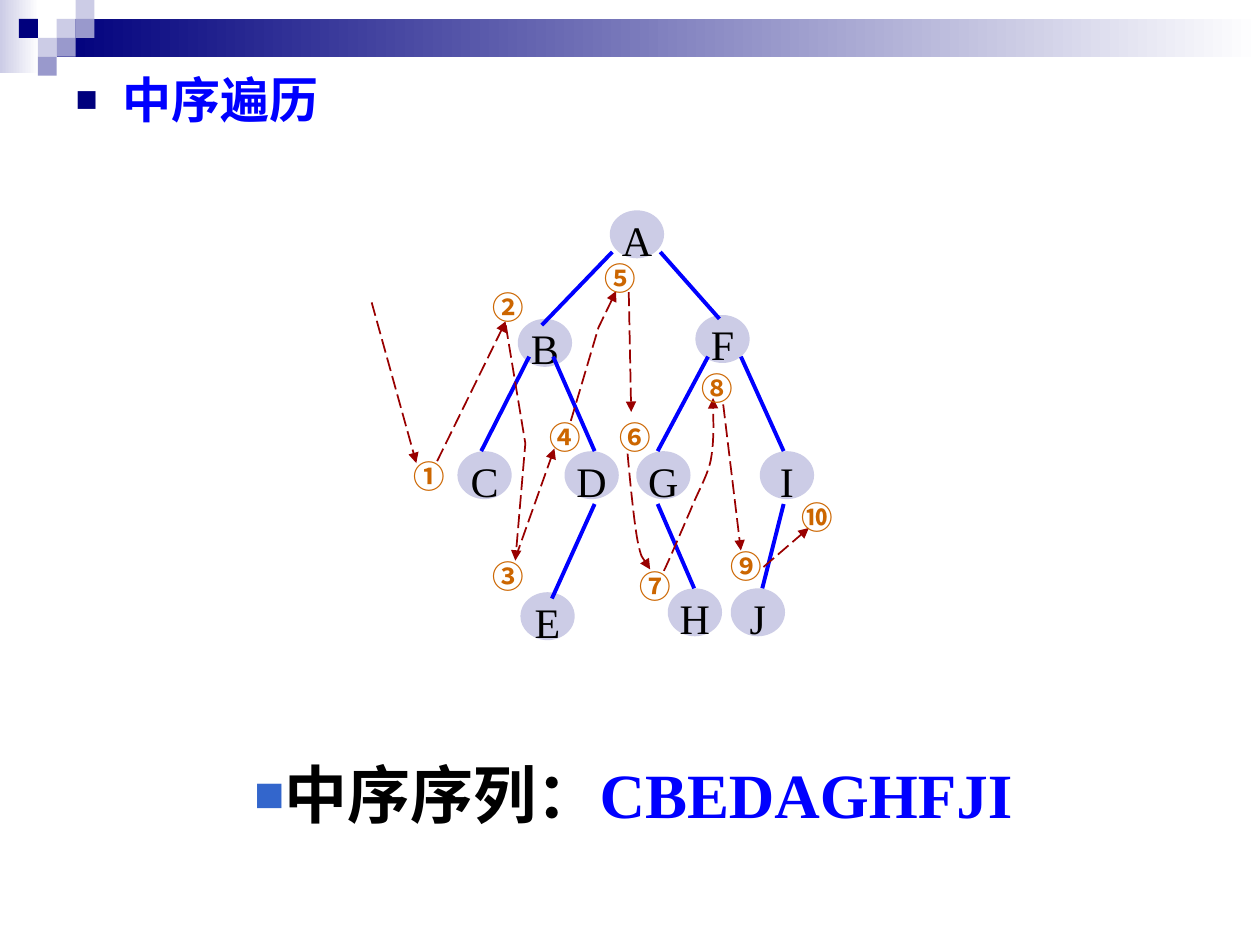
from lxml.etree import SubElement
from pptx import Presentation
from pptx.dml.color import RGBColor
from pptx.enum.dml import MSO_LINE
from pptx.enum.shapes import MSO_CONNECTOR, MSO_SHAPE
from pptx.enum.text import MSO_ANCHOR, MSO_AUTO_SIZE, PP_ALIGN
from pptx.oxml.ns import qn
from pptx.util import Pt

NAVY = RGBColor(0x00, 0x00, 0x7D)
LAVENDER = RGBColor(0xCC, 0xCC, 0xE6)
VIOLET = RGBColor(0x99, 0x99, 0xCC)
BLUE = RGBColor(0x00, 0x00, 0xFF)
BULLET_BLUE = RGBColor(0x33, 0x66, 0xCC)
DARK_RED = RGBColor(0x99, 0x00, 0x00)
ORANGE = RGBColor(0xCC, 0x66, 0x00)
BLACK = RGBColor(0, 0, 0)
WHITE = RGBColor(0xFF, 0xFF, 0xFF)
CJK, SERIF, SANS = "Noto Sans CJK SC", "Times New Roman", "Arial"

# Header squares on a grid of 10.8 pt: column, row, colour
CELL = 10.8
SQUARES = [(3, 1, LAVENDER), (4, 0, LAVENDER), (4, 1, VIOLET), (2, 2, LAVENDER),
           (1, 1, NAVY), (3, 2, VIOLET), (2, 3, VIOLET)]

# Tree nodes: left, top
NODE_W, NODE_H = 31, 27.4
NODES = {"A": (348.5, 120.2), "B": (295.9, 182.2), "C": (261.4, 257.8),
         "D": (322.6, 257.8), "E": (297.4, 338.4), "F": (397.4, 180),
         "G": (363.6, 257.8), "H": (381.6, 336.2), "I": (434.2, 257.8),
         "J": (417.6, 336.2)}
EDGES = [(349.9, 144, 309.6, 185.8), (377.3, 144, 411.1, 182.2),
         (302.4, 203.8, 275, 257.8), (316.1, 203.8, 339.8, 257.8),
         (404.6, 203.8, 375.8, 257.8), (423.4, 203.8, 447.8, 257.8),
         (339.8, 288, 315.4, 342), (375.8, 288, 396.7, 336.2),
         (447.8, 288, 435.6, 336.2)]

# Visiting order: left, top of each number
STEPS = {"①": (229, 257.8), "②": (274.3, 161.3), "③": (274.3, 314.6),
         "④": (306.7, 235.4), "⑤": (338.4, 144.7), "⑥": (347, 235.4),
         "⑦": (358.6, 320.4), "⑧": (393.8, 207.4), "⑨": (410.4, 308.9),
         "⑩": (450.7, 280.8)}
STRAIGHT_PATHS = [
    [(212.4, 172.8), (237.9, 264.6)],
    [(249.8, 263.5), (289, 183.6)],
    [(289, 185.8), (300.2, 253.4), (294.5, 320.4)],
    [(294.5, 319), (316.8, 256.3)],
    [(326.2, 240.5), (342, 187.2), (352.1, 166.3)],
    [(359.3, 167), (360.7, 235.4)],
    [(413.3, 231.1), (423.4, 314.6)],
    [(436.3, 324), (462.2, 301.7)],
]
# Start point, then two control points and an end point per curve
CURVED_PATHS = [
    [(358.6, 259.2), (359.3, 267.1), (362.2, 298.1), (364.3, 308.9),
     (366.5, 319.7), (370.1, 322.6), (371.5, 325.4)],
    [(379.4, 326.2), (382.3, 320.4), (390.2, 301.7), (394.6, 291.6),
     (398.9, 280.8), (403.9, 272.9), (406.1, 263.5),
     (408.2, 252.7), (407.5, 233.3), (407.5, 227.5)],
]


def add_run(p, text, size, color, font, bold=True):
    r = p.add_run()
    r.text = text
    r.font.size, r.font.bold, r.font.name = Pt(size), bold, font
    r.font.color.rgb = color
    SubElement(r.font._element, qn("a:ea")).set("typeface", CJK)


def add_bullet(p, color, percent, indent=0):
    pPr = p._p.get_or_add_pPr()
    pPr.set("marL", str(Pt(indent)))
    pPr.set("indent", str(-Pt(indent)))
    clr = SubElement(SubElement(pPr, qn("a:buClr")), qn("a:srgbClr"))
    clr.set("val", str(color))
    SubElement(pPr, qn("a:buSzPct")).set("val", str(percent * 1000))
    SubElement(pPr, qn("a:buFont")).set("typeface", SANS)
    SubElement(pPr, qn("a:buChar")).set("char", "■")


def add_block(shapes, kind, x, y, w, h, color, fade=False):
    sp = shapes.add_shape(kind, Pt(x), Pt(y), Pt(w), Pt(h))
    sp.shadow.inherit = False
    sp.line.fill.background()
    if fade:
        sp.fill.gradient()
        sp.fill.gradient_angle = 0
        for stop, c in zip(sp.fill.gradient_stops, (color, WHITE)):
            stop.color.rgb = c
    else:
        sp.fill.solid()
        sp.fill.fore_color.rgb = color
    return sp


def add_node(shapes, label, x, y):
    sp = add_block(shapes, MSO_SHAPE.OVAL, x, y, NODE_W, NODE_H, LAVENDER)
    tf = sp.text_frame
    tf.word_wrap = False
    tf.vertical_anchor = MSO_ANCHOR.MIDDLE
    p = tf.paragraphs[0]
    p.alignment, p.line_spacing = PP_ALIGN.CENTER, 1.2
    add_run(p, label, 24, BLACK, SERIF, bold=False)


def add_edge(shapes, x1, y1, x2, y2):
    ln = shapes.add_connector(MSO_CONNECTOR.STRAIGHT, Pt(x1), Pt(y1), Pt(x2), Pt(y2))
    ln.line.color.rgb, ln.line.width = BLUE, Pt(2.25)
    SubElement(ln._element.spPr, qn("a:effectLst"))


def add_arrow(shapes, points, curved=False):
    start, *rest = [(Pt(x), Pt(y)) for x, y in points]
    builder = shapes.build_freeform(*start)
    builder.add_line_segments(rest, close=False)
    sp = builder.convert_to_shape()
    sp.shadow.inherit = False
    sp.fill.background()
    sp.line.color.rgb, sp.line.width = DARK_RED, Pt(1)
    sp.line.dash_style = MSO_LINE.LONG_DASH
    SubElement(sp.line._get_or_add_ln(), qn("a:tailEnd")).set("type", "triangle")
    if curved:
        # Every three segments become one Bezier curve
        outline = next(sp._element.iter(qn("a:path")))
        for i, seg in enumerate(outline.findall(qn("a:lnTo"))):
            if i % 3 == 0:
                curve = SubElement(outline, qn("a:cubicBezTo"))
            curve.append(seg[0])
            outline.remove(seg)


def add_text_box(shapes, x, y, w, h):
    tf = shapes.add_textbox(Pt(x), Pt(y), Pt(w), Pt(h)).text_frame
    tf.word_wrap = True
    tf.auto_size = MSO_AUTO_SIZE.SHAPE_TO_FIT_TEXT
    return tf.paragraphs[0]


def add_header(shapes):
    rect = MSO_SHAPE.RECTANGLE
    add_block(shapes, rect, 0, 0, 22.3, 41.8, LAVENDER, fade=True)
    add_block(shapes, rect, 32.4, CELL, 687.6, 21.6, NAVY, fade=True)
    for col, row, color in SQUARES:
        add_block(shapes, rect, col * CELL, row * CELL, CELL, CELL, color)


def fill_body(body):
    body.left, body.top, body.width, body.height = Pt(36), Pt(36), Pt(648), Pt(504)
    tf = body.text_frame
    tf.auto_size = MSO_AUTO_SIZE.NONE
    p = tf.paragraphs[0]
    add_bullet(p, NAVY, 75, indent=27)
    p.space_before = Pt(0)
    add_run(p, "中序遍历", 28, BLUE, SANS)


def main():
    prs = Presentation()
    prs.slide_width, prs.slide_height = Pt(720), Pt(540)
    s = prs.slides.add_slide(prs.slide_layouts[1])
    title = s.shapes.title._element
    title.getparent().remove(title)

    # Header band and heading
    add_header(s.shapes.add_group_shape().shapes)
    fill_body(s.placeholders[1])

    # Binary tree
    tree = s.shapes.add_group_shape().shapes
    for label, (x, y) in NODES.items():
        add_node(tree, label, x, y)
    for edge in EDGES:
        add_edge(tree, *edge)

    # Traversal arrows and step numbers
    for points in STRAIGHT_PATHS:
        add_arrow(s.shapes, points)
    for points in CURVED_PATHS:
        add_arrow(s.shapes, points, curved=True)
    for number, (x, y) in STEPS.items():
        add_run(add_text_box(s.shapes, x, y, 35.3, 28.8), number, 18, ORANGE, CJK)

    # Resulting sequence
    p = add_text_box(s.shapes, 138.2, 419.8, 468, 59)
    add_bullet(p, BULLET_BLUE, 80)
    p.line_spacing = 1.2
    add_run(p, "中序序列：", 36, BLACK, SERIF)
    add_run(p, "CBEDAGHFJI", 36, BLUE, SERIF)

    prs.save("out.pptx")


if __name__ == "__main__":
    main()
